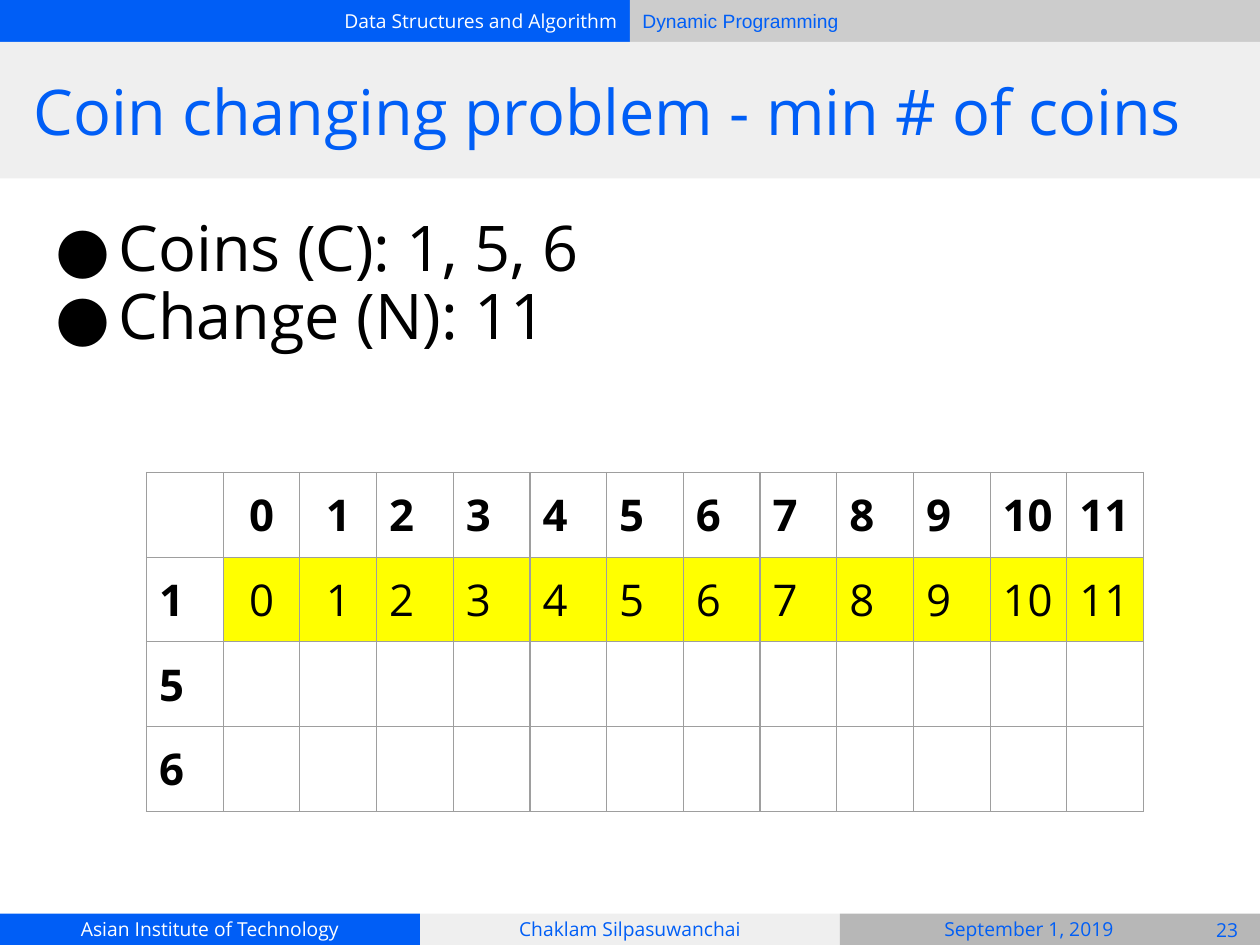
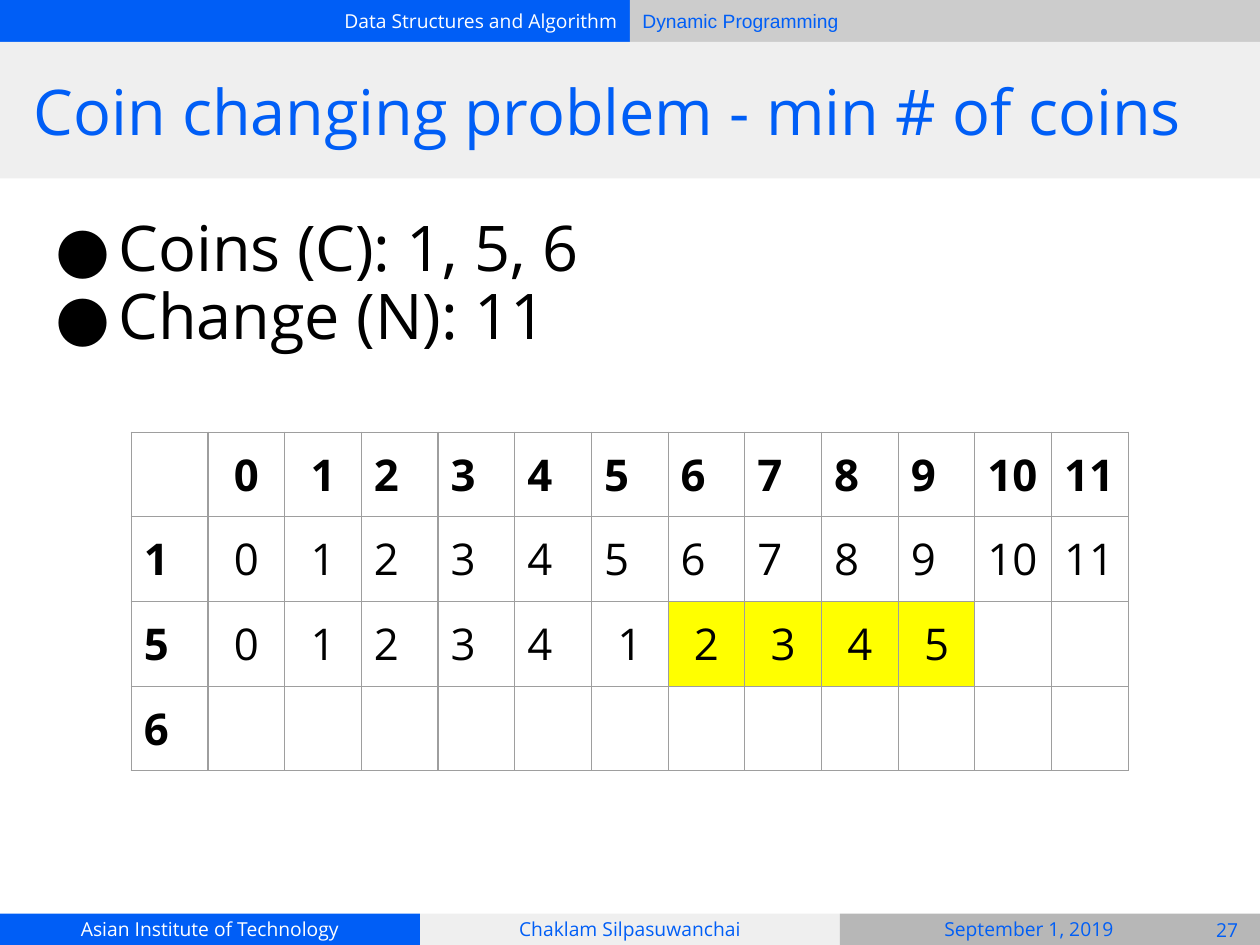
from lxml import etree
from pptx import Presentation
from pptx.dml.color import RGBColor
from pptx.enum import shapes, text
from pptx.oxml import ns
from pptx.util import Pt

HUES = {"blue": "005EF6", "white": "FFFFFF", "black": "000000", "pale": "EFEFEF",
        "grey": "CCCCCC", "dark": "B7B7B7", "line": "9E9E9E", "mark": "FFFF00"}
SANS = "Open Sans"
TITLE = "Coin changing problem - min # of coins"
FACTS = ["Coins (C): 1, 5, 6", "Change (N): 11"]
SUMS = [str(n) for n in range(12)]
PAGES = [
    {"page": "23", "spot": (83.7, 270),
     "rows": [["", *SUMS], ["1", *SUMS], ["5"], ["6"]],
     "marks": {(1, c) for c in range(1, 13)}},
    {"page": "27", "spot": (75, 246.9),
     "rows": [["", *SUMS], ["1", *SUMS],
              ["5", "0", "1", "2", "3", "4", "1", "2", "3", "4", "5"], ["6"]],
     "marks": {(2, c) for c in range(7, 11)}},
]

WIDE, HIGH = 720, 540
HEAD, FOOT, BAND = 24, 18, 78
HALF, THIRD = WIDE / 2, WIDE / 3
BASE = HIGH - FOOT
CELL, ROW, PAD = 43.85, 48.3, 7.2
LEFT, MID, RIGHT = text.PP_ALIGN.LEFT, text.PP_ALIGN.CENTER, text.PP_ALIGN.RIGHT
BANDS = [
    ((0, 0, HALF, HEAD), "blue", "Data Structures and Algorithm", "white", SANS, RIGHT),
    ((HALF, 0, HALF, HEAD), "grey", "Dynamic Programming", "blue", "Arial", LEFT),
    ((0, BASE, THIRD, FOOT), "blue", "Asian Institute of Technology", "white", SANS, MID),
    ((THIRD, BASE, THIRD, FOOT), "pale", "Chaklam Silpasuwanchai", "blue", SANS, MID),
    ((2 * THIRD, BASE, THIRD, FOOT), "dark", "", "blue", SANS, MID),
    ((486, BASE, 204, FOOT), None, "September 1, 2019", "blue", SANS, MID),
    ((0, HEAD, WIDE, BAND), "pale", "", "blue", SANS, LEFT),
]


def tint(hue):
    return RGBColor.from_string(HUES[hue])


def put(obj, **vals):
    for key, val in vals.items():
        setattr(obj, key, val)


def style(para, size, hue, face=SANS, side=LEFT, bold=False):
    para.alignment = side
    put(para.font, size=Pt(size), name=face, bold=bold)
    para.font.color.rgb = tint(hue)


def place(shape, box):
    put(shape, **dict(zip(("left", "top", "width", "height"), map(Pt, box))))


def frame(shape, side, edge, anchor):
    put(shape.text_frame, word_wrap=True, auto_size=text.MSO_AUTO_SIZE.NONE,
        vertical_anchor=anchor, margin_left=Pt(side), margin_right=Pt(side),
        margin_top=Pt(edge), margin_bottom=Pt(edge))
    return shape.text_frame


def add_band(slide, box, fill, words, hue, face, side):
    spot = map(Pt, box)
    if fill:
        shape = slide.shapes.add_shape(shapes.MSO_SHAPE.RECTANGLE, *spot)
        shape.shadow.inherit = False
        shape.fill.solid()
        shape.fill.fore_color.rgb = tint(fill)
        shape.line.fill.background()
    else:
        shape = slide.shapes.add_textbox(*spot)
    if words:
        para = frame(shape, PAD, PAD, text.MSO_ANCHOR.MIDDLE).paragraphs[0]
        para.text = words
        style(para, 11, hue, face, side)


def add_dot(para):
    props = para._p.get_or_add_pPr()
    put_in = {"marL": Pt(36), "indent": -Pt(36)}
    for key, val in put_in.items():
        props.set(key, str(val))
    color = etree.SubElement(props, ns.qn("a:buClr"))
    etree.SubElement(color, ns.qn("a:srgbClr"), val=HUES["black"])
    etree.SubElement(props, ns.qn("a:buFont"), typeface=SANS)
    etree.SubElement(props, ns.qn("a:buChar"), char="●")


def add_text(slide):
    title, body = slide.placeholders
    for shape in (title, body):
        slide.shapes._spTree.append(shape._element)
    place(title, (12, HEAD, 696, BAND))
    para = frame(title, PAD, 3.6, text.MSO_ANCHOR.MIDDLE).paragraphs[0]
    para.text = TITLE
    style(para, 36, "blue")
    place(body, (24.5, 121, 671, 111.6))
    area = frame(body, PAD, 3.6, text.MSO_ANCHOR.TOP)
    area.text = "\n".join(FACTS)
    for para in area.paragraphs:
        add_dot(para)
        put(para, space_before=Pt(0), line_spacing=0.89)
        style(para, 36, "black")


def edge_cell(cell):
    props = cell._tc.get_or_add_tcPr()
    for at, tag in enumerate(("a:lnL", "a:lnR", "a:lnT", "a:lnB")):
        line = etree.Element(ns.qn(tag), w=str(Pt(0.75)))
        fill = etree.SubElement(line, ns.qn("a:solidFill"))
        etree.SubElement(fill, ns.qn("a:srgbClr"), val=HUES["line"])
        props.insert(at, line)


def add_grid(slide, spot, rows, marks):
    cols = len(rows[0])
    size = (*spot, CELL * cols, ROW * len(rows))
    grid = slide.shapes.add_table(len(rows), cols, *map(Pt, size)).table
    put(grid, first_row=False, horz_banding=False)
    for col in grid.columns:
        col.width = Pt(CELL)
    for r, row in enumerate(rows):
        grid.rows[r].height = Pt(ROW)
        for c in range(cols):
            cell = grid.cell(r, c)
            put(cell, margin_left=Pt(PAD), margin_right=Pt(PAD),
                margin_top=Pt(PAD), margin_bottom=Pt(PAD))
            cell.fill.solid()
            cell.fill.fore_color.rgb = tint("mark" if (r, c) in marks else "white")
            edge_cell(cell)
            para = cell.text_frame.paragraphs[0]
            para.text = row[c] if c < len(row) else ""
            side = MID if c in (1, 2) or (r == 2 and c > 5) else LEFT
            style(para, 25, "black", side=side, bold=r == 0 or c == 0)


def main():
    deck = Presentation()
    put(deck, slide_width=Pt(WIDE), slide_height=Pt(HIGH))
    for item in PAGES:
        slide = deck.slides.add_slide(deck.slide_layouts[1])
        for band in BANDS:
            add_band(slide, *band)
        add_text(slide)
        add_band(slide, (682.6, 522.7, 37.4, 17.3), None, item["page"], "blue", SANS, MID)
        add_grid(slide, item["spot"], item["rows"], item["marks"])
    deck.save("out.pptx")


if __name__ == "__main__":
    main()
